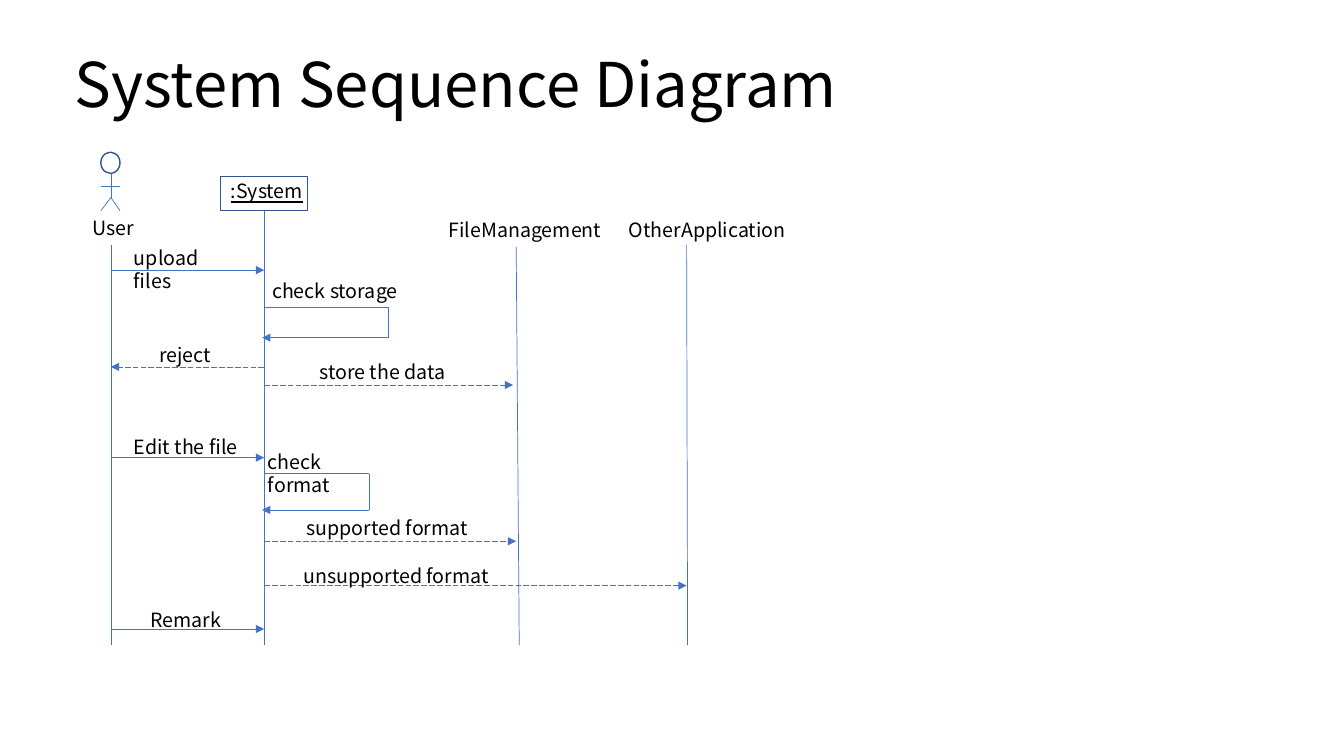
from lxml import etree
from pptx import Presentation, util as u
from pptx.dml import color
from pptx.enum import dml, shapes, text
from pptx.oxml import ns


def rgb(value):
    return color.RGBColor.from_string(value)


def line(x1, y1, x2, y2, arrow=False, dashed=False):
    c = s.shapes.add_connector(shapes.MSO_CONNECTOR.STRAIGHT, *map(u.Inches, (x1, y1, x2, y2)))
    c.line.color.rgb = rgb("4472C4")
    c.line.width = u.Pt(0.5)
    if dashed:
        c.line.dash_style = dml.MSO_LINE.LONG_DASH
    sp_pr = c.element.spPr
    if arrow:
        etree.SubElement(sp_pr.find(ns.qn("a:ln")), ns.qn("a:tailEnd"), type="triangle")
    etree.SubElement(sp_pr, ns.qn("a:effectLst"))


FONT = {"name": "Noto Sans CJK SC", "size": u.Pt(14)}
USER, SYSTEM, FILES, OTHER = 1.1, 2.62, 5.12, 6.81
HEAD, FOOT = 2.43, 6.4

prs = Presentation()
prs.slide_width, prs.slide_height = u.Inches(13.33), u.Inches(7.5)
s = prs.slides.add_slide(prs.slide_layouts[5])

title = s.shapes.title
box = {"left": 0.64, "top": 0.14, "width": 11.5, "height": 1.45}
for key, value in box.items():
    setattr(title, key, u.Inches(value))
tf = title.text_frame
tf.text = "System Sequence Diagram"
tf.auto_size = text.MSO_AUTO_SIZE.NONE
tf.vertical_anchor = text.MSO_ANCHOR.MIDDLE
p = tf.paragraphs[0]
p.alignment = text.PP_ALIGN.LEFT
p.line_spacing = 0.9
for key, value in {**FONT, "size": u.Pt(44)}.items():
    setattr(p.font, key, value)
p.font.color.rgb = rgb("000000")

for kind, *place in [
    (shapes.MSO_SHAPE.OVAL, 1, 1.51, 0.19, 0.21),
    (shapes.MSO_SHAPE.RECTANGLE, 2.19, 1.75, 0.86, 0.34),
]:
    sp = s.shapes.add_shape(kind, *map(u.Inches, place))
    sp.shadow.inherit = False
    sp.fill.solid()
    sp.fill.fore_color.rgb = rgb("FFFFFF")
    sp.line.color.rgb = rgb("325491")
    sp.line.width = u.Pt(1)

line(1, 1.85, 1.19, 1.85)
line(USER, 1.72, USER, 1.96)
for foot in (1, 1.19):
    line(USER, 1.96, foot, 2.09)

for top_x, top, end_x in [
    (USER, HEAD, USER),
    (SYSTEM, 2.09, SYSTEM),
    (FILES, 2.45, 5.15),
    (OTHER, HEAD, 6.82),
]:
    line(top_x, top, end_x, FOOT)

for start, end, y, dashed in [
    (USER, SYSTEM, 2.68, False),
    (SYSTEM, USER, 3.64, True),
    (SYSTEM, 5.09, 3.82, True),
    (USER, SYSTEM, 4.54, False),
    (SYSTEM, FILES, 5.37, True),
    (SYSTEM, OTHER, 5.81, True),
    (USER, SYSTEM, 6.24, False),
]:
    line(start, y, end, y, arrow=True, dashed=dashed)

for side, top, bottom in [(3.85, 3.05, 3.35), (3.66, 4.7, 5.06)]:
    line(SYSTEM, top, side, top)
    line(side, top, side, bottom)
    line(side, bottom, 2.6, bottom, arrow=True)

for label, left, top, width in [
    ("User", 0.82, 2.09, 0.74),
    (":System", 2.19, 1.73, 1.25),
    ("FileManagement", 4.35, 2.11, 2.14),
    ("OtherApplication", 6.14, 2.11, 2.46),
    ("upload files", 1.23, 2.39, 1.25),
    ("check storage", 2.6, 2.72, 1.58),
    ("reject", 1.48, 3.35, 1.25),
    ("store the data", 3.07, 3.52, 2.07),
    ("Edit the file", 1.23, 4.27, 1.25),
    ("check format", 2.56, 4.41, 1.36),
    ("supported format", 2.94, 5.07, 2.16),
    ("unsupported format", 2.91, 5.55, 2.67),
    ("Remark", 1.39, 5.98, 1.19),
]:
    sp = s.shapes.add_textbox(*map(u.Inches, (left, top, width, 0.34)))
    tf = sp.text_frame
    tf.word_wrap = True
    tf.auto_size = text.MSO_AUTO_SIZE.SHAPE_TO_FIT_TEXT
    r = tf.paragraphs[0].add_run()
    r.text = label
    for key, value in {**FONT, "underline": label == ":System"}.items():
        setattr(r.font, key, value)
    r.font.color.rgb = rgb("000000")

prs.save("out.pptx")
